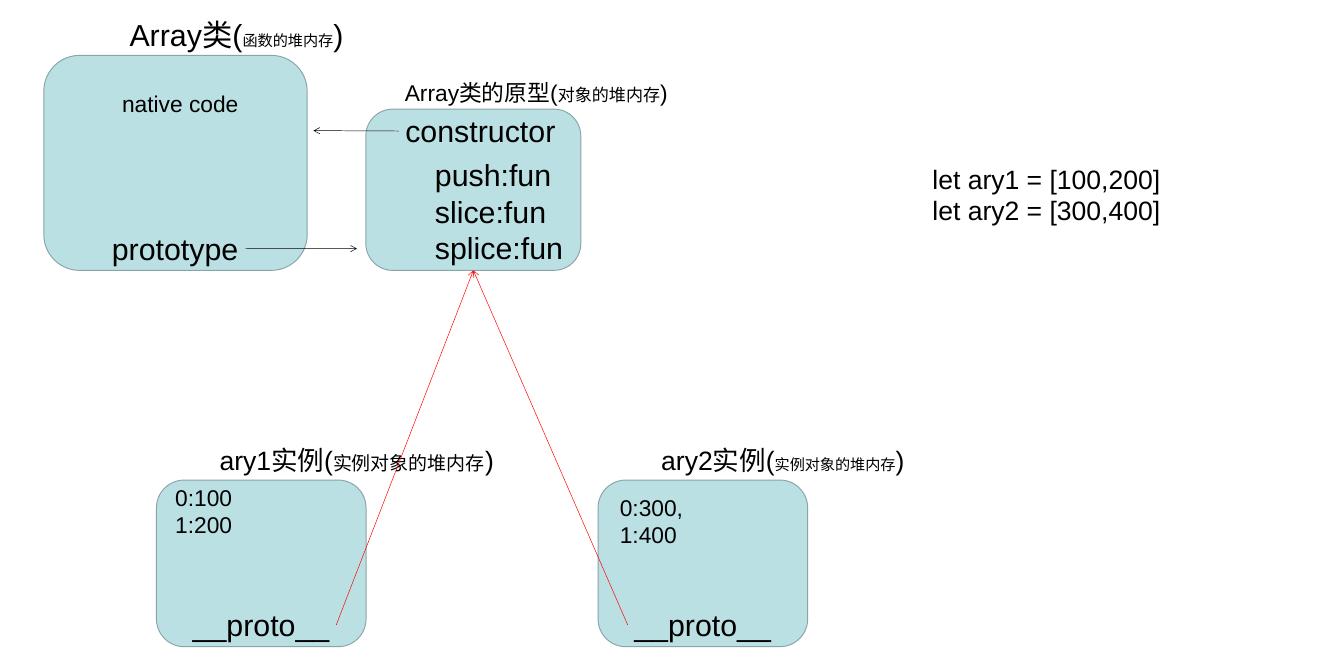
import pptx
import pptx.util
import pptx.dml.color
import pptx.enum.shapes
import pptx.enum.text
import pptx.oxml
import pptx.oxml.ns

Cm = pptx.util.Cm
Pt = pptx.util.Pt
BLACK = "000000"
RED = "FF0000"


def paint(color, value):
    color.rgb = pptx.dml.color.RGBColor.from_string(value)


def add_card(slide, box):
    """Draw one rounded memory block."""
    card = slide.shapes.add_shape(
        pptx.enum.shapes.MSO_SHAPE.ROUNDED_RECTANGLE, *map(Cm, box))
    card.shadow.inherit = False
    card.fill.solid()
    paint(card.fill.fore_color, "BBE0E3")
    paint(card.line.color, "89A4A7")
    card.line.width = Pt(1)
    return card


def add_text(slide, box, lines):
    """Write lines, each a list of (text, size) runs."""
    label = slide.shapes.add_textbox(*map(Cm, box))
    frame = label.text_frame
    frame.word_wrap = True
    frame.auto_size = pptx.enum.text.MSO_AUTO_SIZE.NONE
    # Spare room on the right keeps each line whole
    frame.margin_right = 0
    for i, runs in enumerate(lines):
        para = frame.paragraphs[0] if i == 0 else frame.add_paragraph()
        for text, size in runs:
            run = para.add_run()
            run.text = text
            run.font.name = "Arial"
            run.font.size = Pt(size)
            paint(run.font.color, BLACK)
    return label


def add_title(slide, box, name, note, size, small):
    add_text(slide, box, [[(name + "(", size), (note, small), (")", size)]])


def add_arrow(slide, label, side, tip, color=BLACK):
    """Draw an arrow from a side of a label to a point."""
    x, y = map(Cm, tip)
    arrow = slide.shapes.add_connector(
        pptx.enum.shapes.MSO_CONNECTOR.STRAIGHT, x, y, x, y)
    arrow.begin_connect(label, side)
    paint(arrow.line.color, color)
    arrow.line.width = Pt(0.5)
    head = pptx.oxml.parse_xml(
        '<a:tailEnd %s type="arrow"/>' % pptx.oxml.ns.nsdecls("a"))
    arrow.line._get_or_add_ln().append(head)
    arrow._element.spPr.append(pptx.oxml.parse_xml(
        "<a:effectLst %s/>" % pptx.oxml.ns.nsdecls("a")))
    return arrow


def draw_class(slide, box):
    x, y, w, h = box
    add_card(slide, box)
    add_title(slide, (x + 2.94, y - 1.6, 10, 1.63),
              "Array类", "函数的堆内存", 32, 16)
    add_text(slide, (x + 2.66, y + 1.17, 4.83, 1.27), [[("native code", 24)]])
    label = add_text(slide, (x + 2.28, y + h - 1.63, 5.21, 1.63),
                     [[("prototype", 32)]])
    add_arrow(slide, label, 3, (x + w + 1.85, y + h - 0.81))


def draw_proto(slide, box):
    x, y, w, h = box
    card = add_card(slide, box)
    add_title(slide, (x + 1.2, y - 1.27, 11.6, 1.27),
              "Array类的原型", "对象的堆内存", 24, 18)
    label = add_text(slide, (x + 1.22, y, 6.1, 1.63), [[("constructor", 32)]])
    add_arrow(slide, label, 1, (x - 1.95, y + 0.8))
    names = ["push", "slice", "splice"]
    add_text(slide, (x + 2.32, y + 1.63, 5.5, 4.32),
             [[(name + ":fun", 32)] for name in names])
    return card


def draw_item(slide, box, name, wide, small, shift, values, side, target):
    x, y, w, h = box
    add_card(slide, box)
    add_title(slide, (x + 2.1, y - 1.45, wide, 1.45),
              name + "实例", "实例对象的堆内存", 28, small)
    dx, dy = shift
    add_text(slide, (x + dx, y + dy, 6.91, 3.3),
             [[(value, 24)] for value in values])
    label = add_text(slide, (x + 1.1, y + h - 1.63, 5.59, 1.63),
                     [[("__proto__", 32)]])
    # Instance to prototype
    arrow = add_arrow(slide, label, side, (x, y), RED)
    arrow.end_connect(target, 2)


def draw_code(slide, box):
    code = ["let ary1 = [100,200]", "let ary2 = [300,400]"]
    add_text(slide, box, [[(line, 28)] for line in code])


def main():
    deck = pptx.Presentation()
    deck.slide_width, deck.slide_height = Cm(50), Cm(25)
    slide = deck.slides.add_slide(deck.slide_layouts[6])

    # Class and its prototype
    draw_class(slide, (1.63, 2.06, 9.8, 8))
    proto = draw_proto(slide, (13.61, 4.06, 8, 6))

    # Instances
    draw_item(slide, (5.82, 17.86, 7.8, 6.2), "ary1", 12.1, 20,
              (0.45, 0), ["0:100", "1:200"], 3, proto)
    draw_item(slide, (22.25, 17.86, 7.8, 6.2), "ary2", 10.9, 16,
              (0.56, 0.38), ["0:300,", "1:400"], 1, proto)

    # Source code
    draw_code(slide, (34.44, 5.92, 9.32, 2.64))
    deck.save("out.pptx")


if __name__ == "__main__":
    main()
